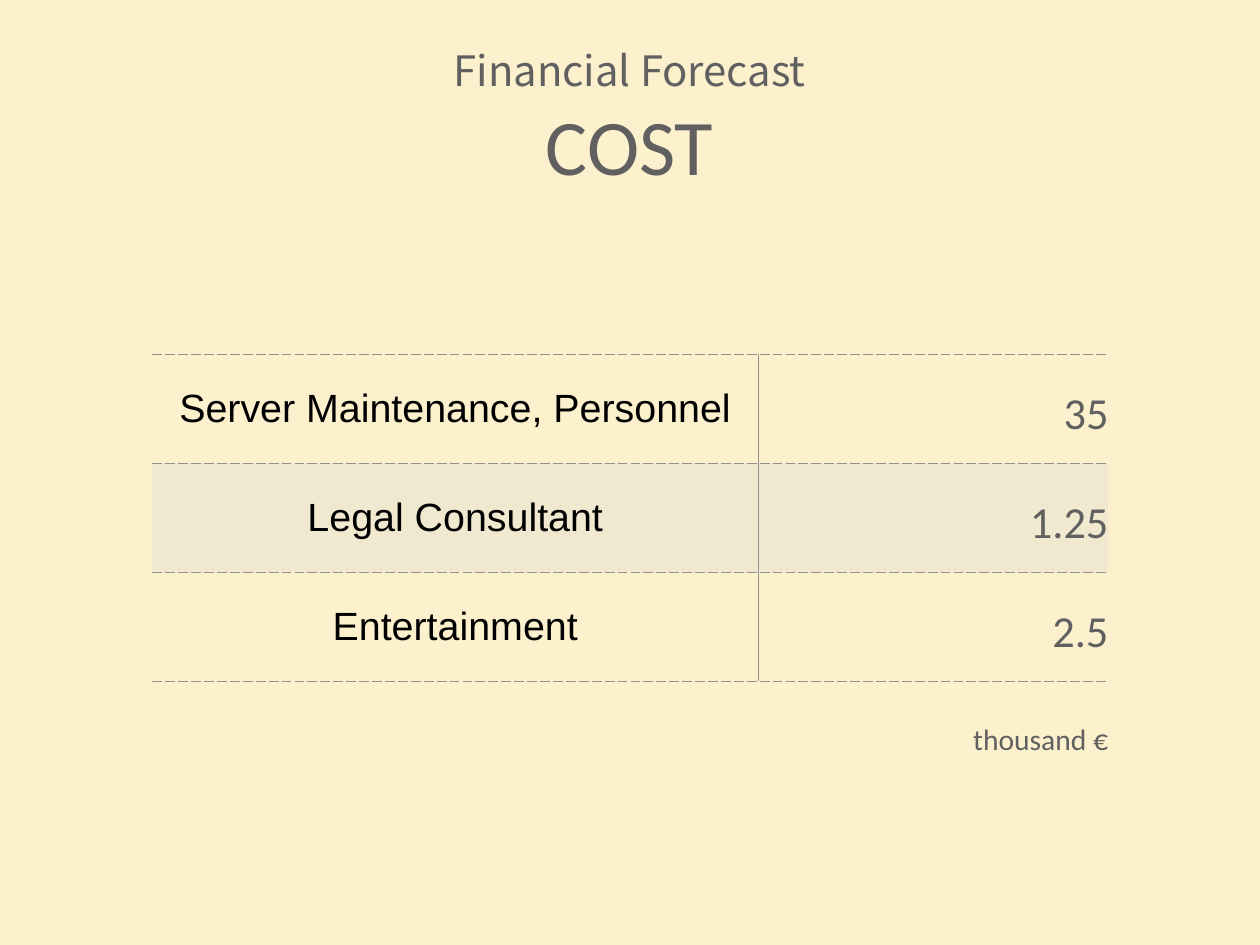
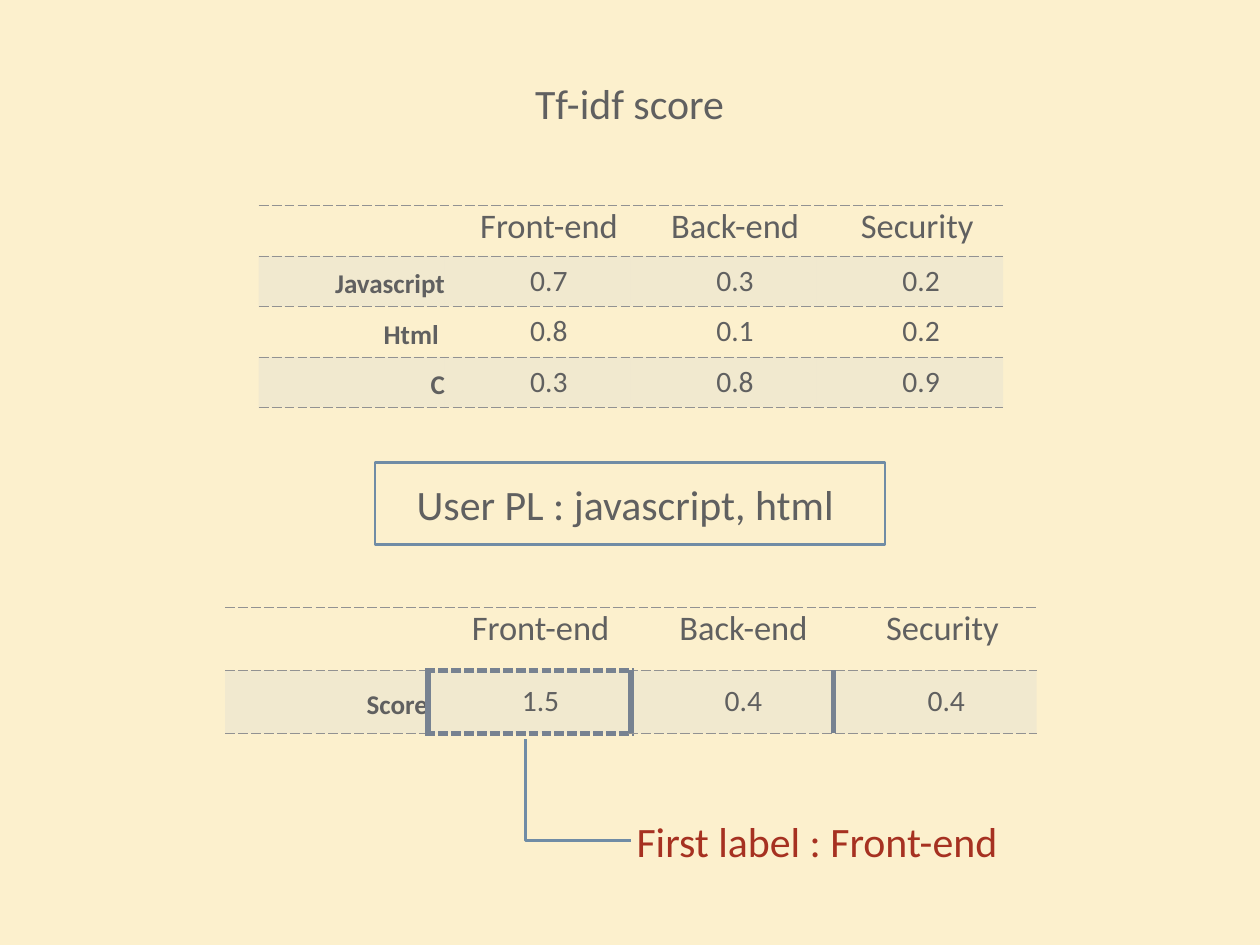
from dataclasses import dataclass, field
from typing import Optional

from lxml.etree import SubElement
from pptx import Presentation
from pptx.dml.color import RGBColor
from pptx.enum.shapes import MSO_SHAPE
from pptx.enum.text import MSO_ANCHOR, MSO_AUTO_SIZE, PP_ALIGN
from pptx.oxml.ns import qn
from pptx.util import Inches, Pt


# Theme
@dataclass(frozen=True)
class Theme:
    background: str = "FCF0CD"
    text: str = "606060"
    black: str = "000000"
    accent: str = "A63121"
    outline: str = "708CA5"
    rule: str = "929292"
    emphasis: str = "778291"
    band: str = "E7E3D2"
    band_alpha: int = 50
    font: str = "Calibri"
    title_font: str = "Noto Sans CJK JP"
    label_font: str = "Arial"
    display: int = 64
    figure: int = 36
    heading: int = 34
    item: int = 32
    header: int = 28
    body: int = 24
    label: int = 22


THEME = Theme()
NO_TABLE_STYLE = "{2D5ABB26-0587-4C30-8999-92F81FD0307C}"


@dataclass(frozen=True)
class Box:
    left: float
    top: float
    width: float
    height: float

    def emu(self) -> tuple:
        return tuple(Inches(v) for v in (self.left, self.top, self.width, self.height))


@dataclass(frozen=True)
class TextStyle:
    size: int = THEME.heading
    font: str = THEME.font
    color: str = THEME.text
    bold: bool = False
    align: PP_ALIGN = PP_ALIGN.CENTER
    anchor: MSO_ANCHOR = MSO_ANCHOR.MIDDLE
    margin: float = 0.04
    spacing: Optional[float] = None
    indent: float = 0


@dataclass(frozen=True)
class Border:
    color: str = THEME.rule
    width: float = 0.25
    dash: str = "dash"


HAIRLINE = Border()
DIVIDER = Border(width=1, dash="solid")
HEAVY = Border(THEME.emphasis, 5, "solid")
HEAVY_DASH = Border(THEME.emphasis, 5)

HEADING = TextStyle()
ITEM = TextStyle(THEME.item, THEME.label_font, THEME.black, margin=0.06)
FIGURE = TextStyle(THEME.figure, align=PP_ALIGN.RIGHT, margin=0, spacing=1.2)
HEADER = TextStyle(THEME.header, anchor=MSO_ANCHOR.TOP, margin=0, indent=0.25)
LABEL = TextStyle(THEME.label, bold=True, align=PP_ALIGN.RIGHT, margin=0, spacing=1.2)
VALUE = TextStyle(THEME.body, margin=0, indent=0.25)


@dataclass(frozen=True)
class TableSpec:
    left: float
    top: float
    col_widths: list
    row_height: float
    rows: list
    label: TextStyle
    value: TextStyle
    header: Optional[TextStyle] = None
    borders: dict = field(default_factory=dict)  # (row, column) -> {edge: Border}

    def style(self, row: int, col: int) -> TextStyle:
        if row == 0 and self.header:
            return self.header
        return self.label if col == 0 else self.value


# Text
def set_text(tf, text: str, style: TextStyle) -> None:
    p = tf.paragraphs[0]
    p.text = text
    p.alignment = style.align
    if style.spacing:
        p.line_spacing = style.spacing
    if style.indent:
        pPr = p._p.get_or_add_pPr()
        pPr.set("marL", "0")
        pPr.set("indent", str(Inches(style.indent)))
    p.font.name, p.font.size, p.font.bold = style.font, Pt(style.size), style.bold
    p.font.color.rgb = RGBColor.from_string(style.color)


def fill_frame(tf, text: str, style: TextStyle, wrap: bool = True) -> None:
    tf.word_wrap = wrap
    tf.auto_size = MSO_AUTO_SIZE.NONE if wrap else MSO_AUTO_SIZE.SHAPE_TO_FIT_TEXT
    tf.vertical_anchor = style.anchor
    tf.margin_left = tf.margin_right = Inches(style.margin)
    tf.margin_top = tf.margin_bottom = Inches(style.margin)
    set_text(tf, text, style)


def add_text(slide, box: Box, text: str, style: TextStyle, wrap: bool = True) -> None:
    sp = slide.shapes.add_textbox(*box.emu())
    fill_frame(sp.text_frame, text, style, wrap)


def add_titled_slide(prs, box: Box, text: str, style: TextStyle):
    slide = prs.slides.add_slide(prs.slide_layouts[5])
    sp = slide.shapes.title
    sp.left, sp.top, sp.width, sp.height = box.emu()
    fill_frame(sp.text_frame, text, style)
    return slide


def outline(sp) -> None:
    sp.shadow.inherit = False
    sp.fill.background()
    sp.line.color.rgb = RGBColor.from_string(THEME.outline)
    sp.line.width = Pt(2)


# Tables
def set_borders(cell, borders: dict) -> None:
    tcPr = cell._tc.get_or_add_tcPr()
    edges = [edge for edge in "LRTB" if edge in borders]
    for i, edge in enumerate(edges):
        border = borders[edge]
        ln = SubElement(tcPr, qn(f"a:ln{edge}"), w=str(Pt(border.width)))
        solid = SubElement(ln, qn("a:solidFill"))
        SubElement(solid, qn("a:srgbClr"), val=border.color)
        SubElement(ln, qn("a:prstDash"), val=border.dash)
        tcPr.insert(i, ln)


def set_band(cell) -> None:
    cell.fill.solid()
    cell.fill.fore_color.rgb = RGBColor.from_string(THEME.band)
    clr = cell._tc.tcPr.find(".//" + qn("a:srgbClr"))
    SubElement(clr, qn("a:alpha"), val=str(THEME.band_alpha * 1000))


def add_ruled_table(slide, spec: TableSpec) -> None:
    n_rows, n_cols = len(spec.rows), len(spec.col_widths)
    box = Box(spec.left, spec.top, sum(spec.col_widths), n_rows * spec.row_height)
    table = slide.shapes.add_table(n_rows, n_cols, *box.emu()).table
    table.first_row = table.horz_banding = False
    table._tbl.tblPr.find(qn("a:tableStyleId")).text = NO_TABLE_STYLE
    for column, width in zip(table.columns, spec.col_widths):
        column.width = Inches(width)
    for r, texts in enumerate(spec.rows):
        table.rows[r].height = Inches(spec.row_height)
        for c, text in enumerate(texts):
            cell, style = table.cell(r, c), spec.style(r, c)
            cell.vertical_anchor = style.anchor
            cell.margin_left = cell.margin_right = Inches(style.margin)
            cell.margin_top = cell.margin_bottom = Inches(style.margin)
            if text:
                set_text(cell.text_frame, text, style)
            if r % 2:
                set_band(cell)
            else:
                cell.fill.background()
            own = spec.borders.get((r, c), {})
            set_borders(cell, {"T": HAIRLINE, "B": HAIRLINE, **own})


# Slides
def build_cost(prs) -> None:
    title = TextStyle(font=THEME.title_font)
    slide = add_titled_slide(prs, Box(2.19, 0.01, 9.83, 1.56), "Financial Forecast", title)
    rows = [
        ["Server Maintenance, Personnel", "35"],
        ["Legal Consultant", "1.25"],
        ["Entertainment", "2.5"],
    ]
    borders = {}
    for r in range(len(rows)):
        borders[r, 0] = {"R": DIVIDER}
        borders[r, 1] = {"L": DIVIDER}
    add_ruled_table(slide, TableSpec(1.72, 4, [6.84, 3.95], 1.23, rows, ITEM, FIGURE,
                                     borders=borders))
    add_text(slide, Box(10.93, 8.11, 1.63, 0.47), "thousand €",
             TextStyle(THEME.body), wrap=False)
    add_text(slide, Box(2.19, 0.91, 9.83, 1.56), "COST",
             TextStyle(THEME.display, spacing=0.9))


def build_score(prs) -> None:
    slide = add_titled_slide(prs, Box(2.19, 0.32, 9.83, 1.67), "Tf-idf score", HEADING)
    header = ["", "Front-end", "Back-end", "Security "]

    # Score of each language
    languages = [
        header,
        ["Javascript", "0.7", "0.3", "0.2"],
        ["Html ", "0.8", "0.1", "0.2"],
        ["C", "0.3", "0.8", "0.9"],
    ]
    add_ruled_table(slide, TableSpec(2.92, 2.32, [2.1] * 4, 0.57, languages,
                                     LABEL, VALUE, HEADER))

    # Languages of the user
    sp = slide.shapes.add_shape(MSO_SHAPE.RECTANGLE, *Box(4.23, 5.22, 5.76, 0.93).emu())
    outline(sp)
    fill_frame(sp.text_frame, "User PL : javascript, html ", HEADING)

    # Total score, with the winner framed
    totals = [header, ["Score", "1.5", "0.4", "0.4"]]
    frame = {
        (0, 1): {"B": HEAVY_DASH},
        (1, 0): {"R": HEAVY},
        (1, 1): {"L": HEAVY, "R": HEAVY, "T": HEAVY_DASH, "B": HEAVY_DASH},
        (1, 2): {"L": HEAVY, "R": HEAVY},
        (1, 3): {"L": HEAVY},
    }
    add_ruled_table(slide, TableSpec(2.54, 6.86, [2.29] * 4, 0.71, totals,
                                     LABEL, VALUE, HEADER, frame))

    # Callout
    add_text(slide, Box(7.13, 9.18, 4.18, 0.63), "First label : Front-end",
             TextStyle(color=THEME.accent), wrap=False)
    elbow = slide.shapes.build_freeform(Inches(5.93), Inches(8.35))
    elbow.add_line_segments([(Inches(5.93), Inches(9.49)), (Inches(7.12), Inches(9.49))],
                            close=False)
    outline(elbow.convert_to_shape())


def main() -> None:
    prs = Presentation()
    prs.slide_width, prs.slide_height = Inches(14.22), Inches(10.67)
    fill = prs.slide_master.background.fill
    fill.solid()
    fill.fore_color.rgb = RGBColor.from_string(THEME.background)
    build_cost(prs)
    build_score(prs)
    prs.save("out.pptx")


if __name__ == "__main__":
    main()
